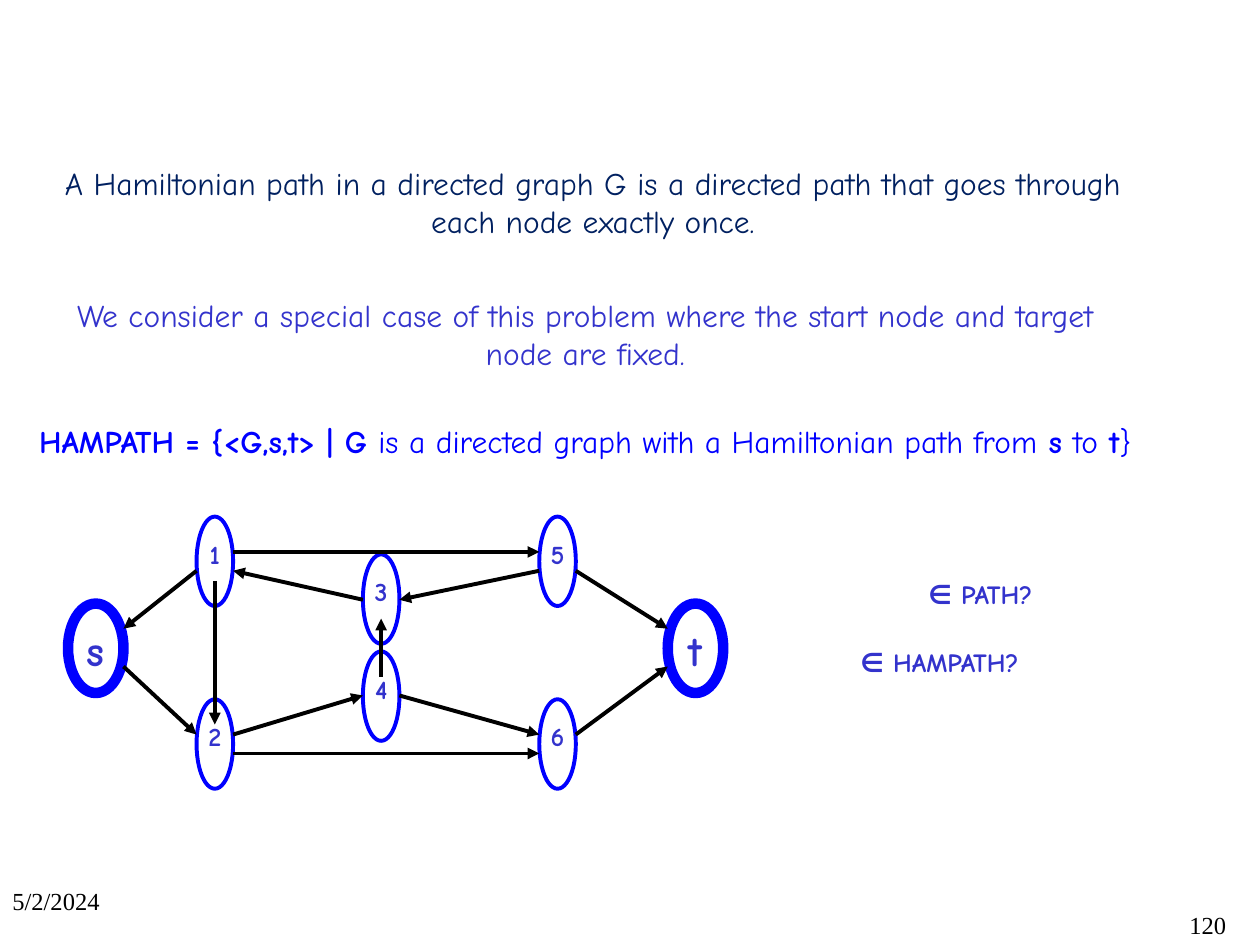
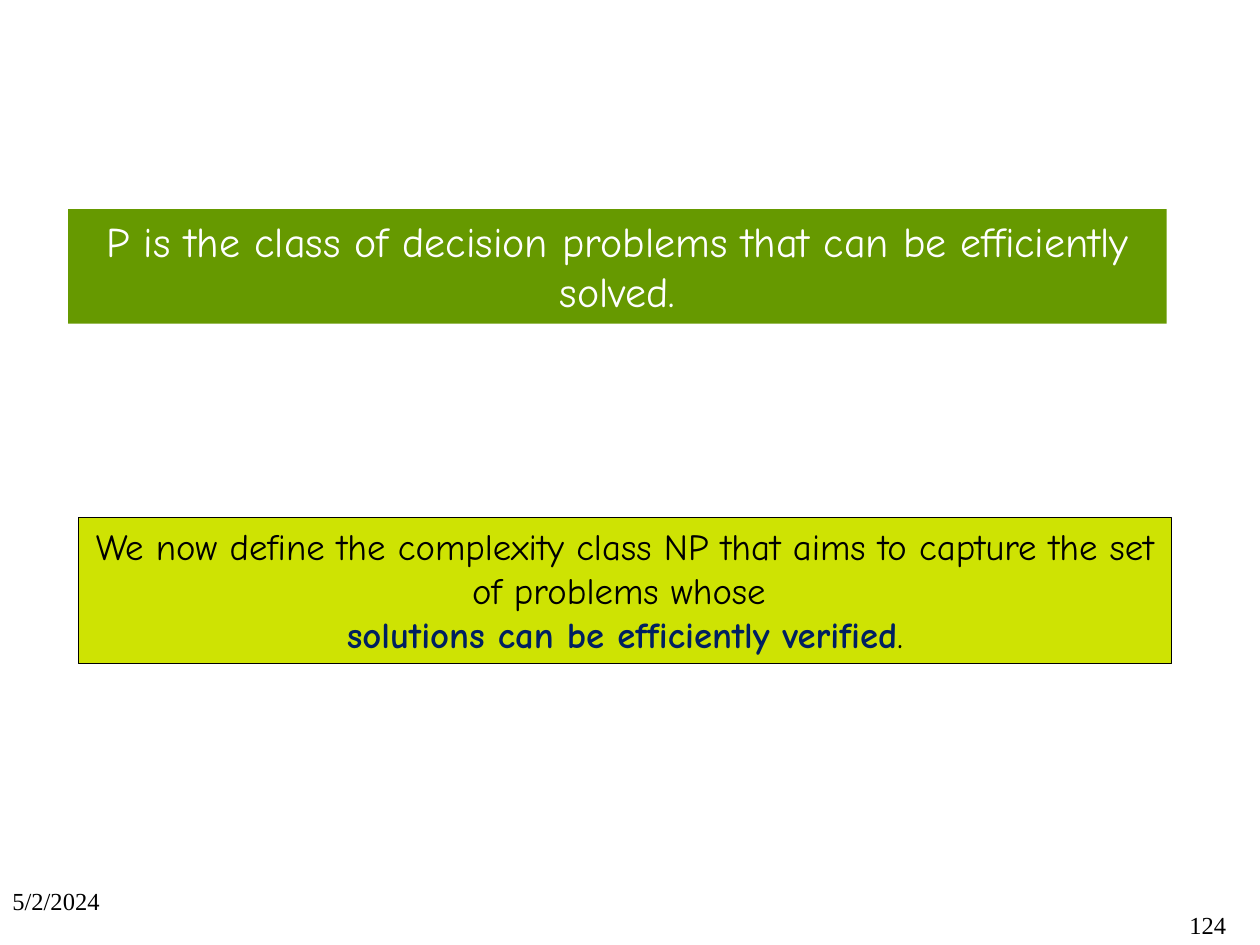
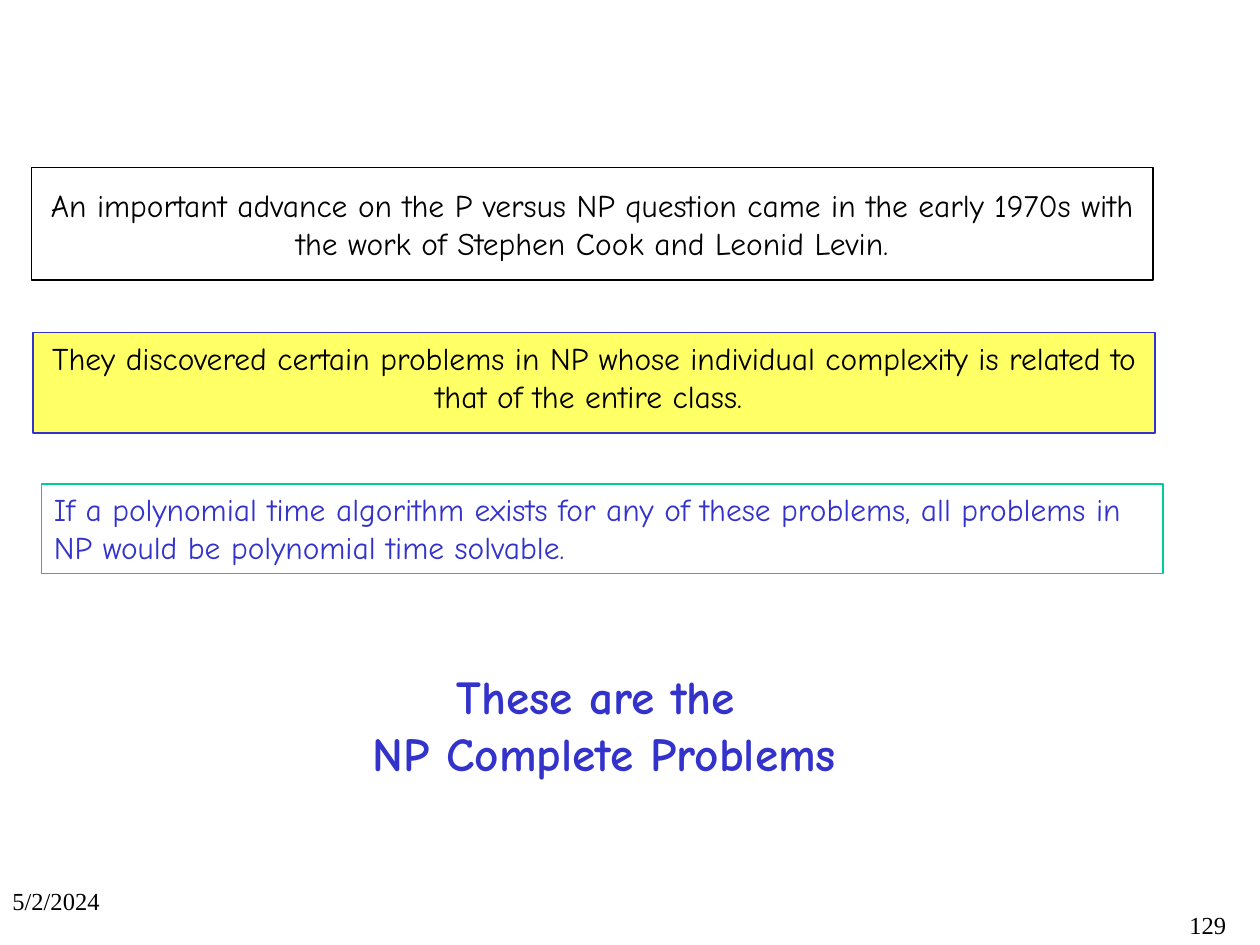
from dataclasses import dataclass

from lxml import etree
from pptx import Presentation
from pptx import util as u
from pptx.dml.color import RGBColor
from pptx.enum import shapes, text
from pptx.oxml.ns import qn

PX = 9144  # 100 px to the inch
MID, LEFT, RIGHT = text.PP_ALIGN.CENTER, text.PP_ALIGN.LEFT, text.PP_ALIGN.RIGHT


@dataclass(frozen=True)
class Theme:
    # Fonts
    hand: str = "Comic Neue"
    serif: str = "Times New Roman"
    # Colours
    black: str = "000000"
    white: str = "FFFFFF"
    navy: str = "002060"
    indigo: str = "3333CC"
    blue: str = "0000FF"
    green: str = "669900"
    lime: str = "CEE303"
    yellow: str = "FFFF66"
    teal: str = "00CC99"
    # Type sizes
    foot: int = 14
    node: int = 15
    body: int = 18
    note: int = 21
    big: int = 24
    head: int = 27


T = Theme()


def emu(*nums):
    return [u.Emu(round(n * PX)) for n in nums]


class Deck:
    def __init__(self):
        self.prs = Presentation()
        self.prs.slide_width, self.prs.slide_height = emu(1000, 750)
        self.slide = None

    def page(self, num, titled=True):
        """Start a slide with its date and number."""
        layout = self.prs.slide_layouts[5 if titled else 6]
        self.slide = self.prs.slides.add_slide(layout)
        self.label((0, 698, 233, 52), "5/2/2024", T.foot, T.black, font=T.serif)
        self.label((775, 717, 208, 33), str(num), T.foot, T.black,
                   align=RIGHT, font=T.serif)

    def put(self, para, words, size, color, bold=False, font=T.hand):
        """Add one run per line, with line breaks between."""
        for i, part in enumerate(words.split("\n")):
            if i:
                para.add_line_break()
            if part:
                run = para.add_run()
                run.text = part
                run.font.name, run.font.size = font, u.Pt(size)
                run.font.bold = bold
                run.font.color.rgb = RGBColor.from_string(color)

    def frame(self, shape, align, middle=False, wrap=True):
        """Set up a text frame and return its first paragraph."""
        tf = shape.text_frame
        tf.word_wrap = wrap
        tf.auto_size = text.MSO_AUTO_SIZE.NONE
        anchor = text.MSO_ANCHOR
        tf.vertical_anchor = anchor.MIDDLE if middle else anchor.TOP
        para = tf.paragraphs[0]
        para.alignment = align
        return para

    def title(self, box, words, size, color, bold=False):
        shape = self.slide.shapes.title
        shape.left, shape.top, shape.width, shape.height = emu(*box)
        self.put(self.frame(shape, MID, True), words, size, color, bold)

    def label(self, box, words, size, color, bold=False, align=LEFT,
              wrap=True, font=T.hand):
        shape = self.slide.shapes.add_textbox(*emu(*box))
        para = self.frame(shape, align, wrap=wrap)
        self.put(para, words, size, color, bold, font)
        return shape.text_frame

    def shape(self, kind, box, fill=None, line=None, width=1):
        shape = self.slide.shapes.add_shape(kind, *emu(*box))
        shape.shadow.inherit = False
        if fill:
            shape.fill.solid()
            shape.fill.fore_color.rgb = RGBColor.from_string(fill)
        else:
            shape.fill.background()
        if line:
            shape.line.color.rgb = RGBColor.from_string(line)
            shape.line.width = u.Pt(width)
        else:
            shape.line.fill.background()
        return shape

    def panel(self, box, words, size, color, fill, line=None, width=1,
              align=MID, middle=False):
        shape = self.shape(shapes.MSO_SHAPE.RECTANGLE, box, fill, line, width)
        para = self.frame(shape, align, middle)
        self.put(para, words, size, color)
        return para

    def node(self, name, box, end):
        """Draw a graph node; end nodes are heavier."""
        x, y, wide, _ = box
        self.shape(shapes.MSO_SHAPE.OVAL, box, line=T.blue, width=6 if end else 2.25)
        tag = (x - 6, y + 12, wide + 12, 50 if end else 35)
        self.label(tag, name, T.big if end else T.node, T.indigo, True, MID, False)

    def arrow(self, start, stop):
        edge = self.slide.shapes.add_connector(
            shapes.MSO_CONNECTOR.STRAIGHT, *emu(*start, *stop))
        edge.line.color.rgb = RGBColor.from_string(T.black)
        edge.line.width = u.Pt(2.25)
        props = edge._element.spPr
        etree.SubElement(props.find(qn("a:ln")), qn("a:tailEnd"), type="triangle")
        etree.SubElement(props, qn("a:effectLst"))


def graph(deck):
    # Nodes: left and top by name
    spots = {"s": (54, 479), "1": (156, 410), "2": (156, 555), "3": (288, 440),
             "4": (288, 517), "5": (428, 410), "6": (428, 555), "t": (530, 479)}
    wide = {name: 44 if name in "st" else 29 for name in spots}
    for name, (x, y) in spots.items():
        deck.node(name, (x, y, wide[name], 71), name in "st")

    # Edges: node, share of its width, drop from its top
    def port(name, share, drop):
        x, y = spots[name]
        return x + share * wide[name], y + drop

    edges = [
        (("1", 0, 43), ("s", 1, 20)), (("s", 1, 50), ("2", 0, 28)),
        (("1", 0.5, 51), ("2", 0.5, 20)), (("4", 0.5, 20), ("3", 0.5, 51)),
        (("1", 1, 28), ("5", 0, 28)), (("2", 1, 43), ("6", 0, 43)),
        (("2", 1, 28), ("4", 0, 35)), (("3", 0, 36), ("1", 1, 43)),
        (("5", 0, 43), ("3", 1, 36)), (("4", 1, 35), ("6", 0, 28)),
        (("5", 1, 43), ("t", 0, 20)), (("6", 1, 28), ("t", 0, 50)),
    ]
    for start, stop in edges:
        deck.arrow(port(*start), port(*stop))


def hampath(deck):
    deck.page(120)
    deck.title((24, 125, 893, 70),
               "A Hamiltonian path in a directed graph G is a directed path "
               "that goes through each node exactly once.", T.body, T.navy)
    tf = deck.label((21, 230, 887, 174),
                    "We consider a special case of this problem where the start "
                    "node and target node are fixed.", T.body, T.indigo, align=MID)
    # Formal definition, alternating bold and plain
    para = tf.add_paragraph()
    para.alignment, para.space_before = MID, u.Pt(29)
    parts = ["HAMPATH = {<G,s,t> | G ",
             "is a directed graph with a Hamiltonian path from",
             " s ", "to", " t", "}"]
    for i, part in enumerate(parts):
        deck.put(para, part, T.body, T.blue, i % 2 == 0)
    graph(deck)
    # Questions
    for box, words in [((727, 454, 114, 35), "∈ PATH?"),
                       ((673, 508, 164, 35), "∈ HAMPATH?")]:
        deck.label(box, words, T.node, T.indigo, True, wrap=False)


def classes(deck):
    deck.page(124, titled=False)
    deck.panel((54, 166, 872, 91),
               "P is the class of decision problems that can be efficiently solved.",
               T.big, T.white, T.green)
    para = deck.panel((62, 411, 868, 116),
                      "We now define the complexity class NP that aims to capture "
                      "the set of problems whose \n",
                      T.note, T.black, T.lime, T.black, 0.5)
    deck.put(para, "solutions can be efficiently verified", T.note, T.navy, True)
    deck.put(para, ".", T.note, T.black)


def complete(deck):
    deck.page(129)
    deck.title((62, 537, 835, 75), "These are the \nNP Complete Problems",
               T.head, T.indigo, True)
    deck.panel((25, 133, 890, 89),
               "An important advance on the P versus NP question came in the early "
               "1970s with the work of Stephen Cook and Leonid Levin.",
               T.body, T.black, T.white, T.black, middle=True)
    deck.panel((26, 264, 891, 80),
               "They discovered certain problems in NP whose individual complexity "
               "is related to that of the entire class. ",
               T.body, T.black, T.yellow, T.indigo)
    deck.panel((33, 384, 890, 71),
               "If a polynomial time algorithm exists for any of these problems, "
               "all problems in NP would be polynomial time solvable.",
               T.body, T.indigo, T.white, T.teal, 0.75, LEFT)


def main():
    deck = Deck()
    for build in (hampath, classes, complete):
        build(deck)
    deck.prs.save("out.pptx")


if __name__ == "__main__":
    main()
